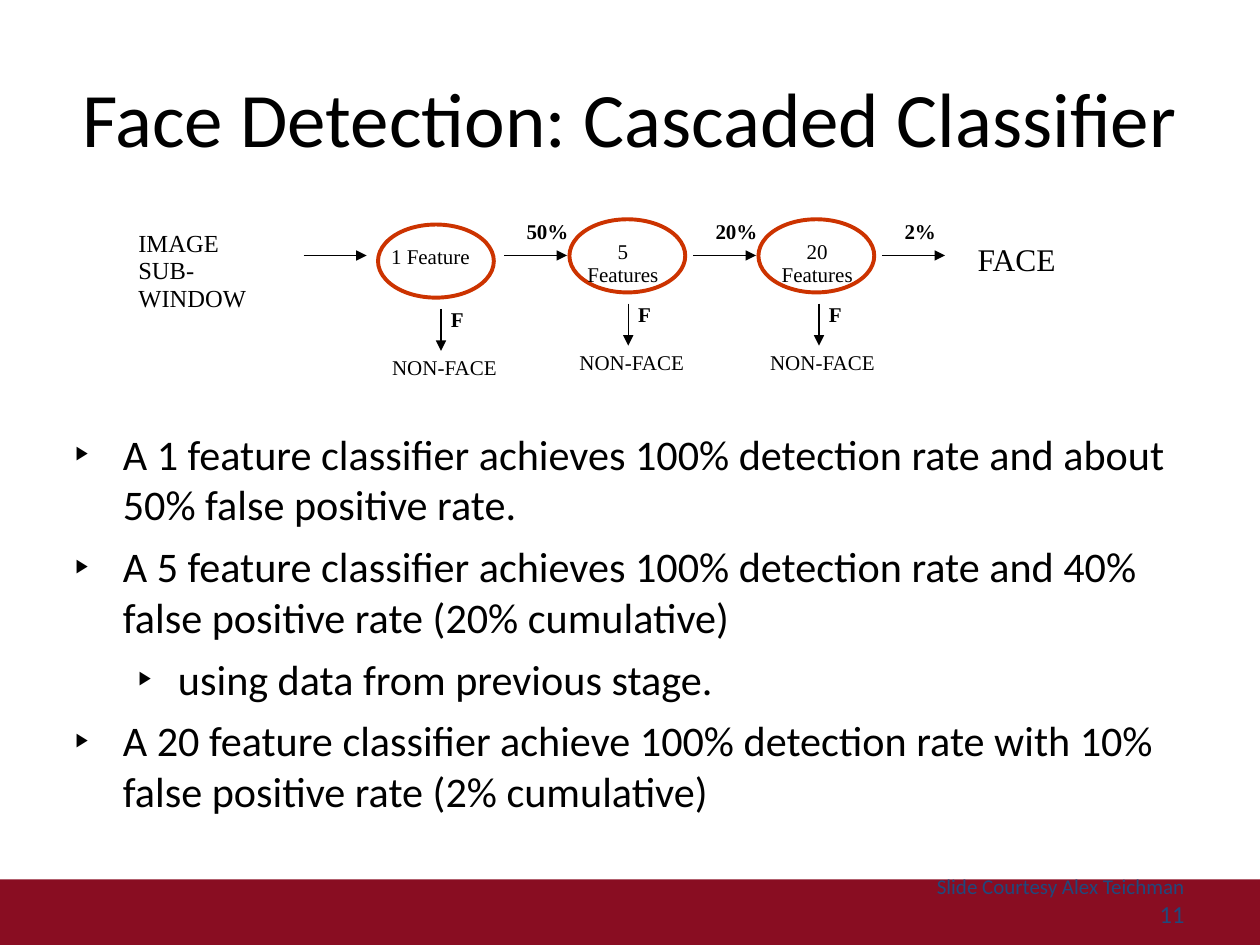
import pptx
import pptx.util
import pptx.dml.color
import pptx.enum.shapes
import pptx.enum.text
import pptx.oxml
import pptx.oxml.ns
import lxml.etree as etree

Pt = pptx.util.Pt
Shape = pptx.enum.shapes.MSO_SHAPE
Align = pptx.enum.text.PP_ALIGN
Anchor = pptx.enum.text.MSO_ANCHOR
qn = pptx.oxml.ns.qn


def color(code):
    return pptx.dml.color.RGBColor.from_string(code)


def write(frame, lines, size, font="Times New Roman", ink="000000",
          bold=False, **form):
    """Fill a text frame; form holds paragraph attributes."""
    frame.word_wrap = True
    frame.auto_size = pptx.enum.text.MSO_AUTO_SIZE.NONE
    frame.text = "\n".join(lines)
    for para in frame.paragraphs:
        for name, value in form.items():
            setattr(para, name, value)
        for run in para.runs:
            look = {"size": Pt(size), "name": font, "bold": bold}
            for name, value in look.items():
                setattr(run.font, name, value)
            run.font.color.rgb = color(ink)


deck = pptx.Presentation()
deck.slide_width, deck.slide_height = Pt(720), Pt(540)
slide = deck.slides.add_slide(deck.slide_layouts[1])
shapes = slide.shapes

# Footer band
band = shapes.add_shape(Shape.RECTANGLE, 0, Pt(502.5), Pt(720), Pt(37.5))
band.shadow.inherit = False
band.fill.solid()
band.fill.fore_color.rgb = color("890D22")
band.line.fill.background()

# Title and list
title, body = shapes.title, slide.placeholders[1]
for holder, box in ((title, (36, 21.6, 648, 90)), (body, (36, 241, 648, 243))):
    holder.left, holder.top, holder.width, holder.height = map(Pt, box)
write(title.text_frame, ["Face Detection: Cascaded Classifier"], 44, "Calibri",
      alignment=Align.CENTER)
title.text_frame.vertical_anchor = Anchor.MIDDLE

points = [
    (0, "A 1 feature classifier achieves 100% detection rate and about "
        "50% false positive rate."),
    (0, "A 5 feature classifier achieves 100% detection rate and 40% "
        "false positive rate (20% cumulative)"),
    (1, "using data from previous stage."),
    (0, "A 20 feature classifier achieve 100% detection rate with 10% "
        "false positive rate (2% cumulative)"),
]
write(body.text_frame, [text for _, text in points], 24.1, "Calibri",
      space_before=Pt(6.4))
body.text_frame.paragraphs[0].space_before = Pt(0)
for para, (level, _) in zip(body.text_frame.paragraphs, points):
    para.level = level
    left, hang = ((27, 27), (58.5, 22.5))[level]
    props = para._p.get_or_add_pPr()
    props.set("marL", str(Pt(left)))
    props.set("indent", str(-Pt(hang)))
    tint = etree.SubElement(props, qn("a:buClr"))
    etree.SubElement(tint, qn("a:srgbClr"), val="000000")
    etree.SubElement(props, qn("a:buSzPct"), val="45000")
    etree.SubElement(props, qn("a:buChar"), char="▶")

# Cascade: label, ellipse left, label centre, arrow x, drop
stages = [
    ("1 Feature", 216, 246, 252, 3),
    ("5 Features", 325.4, 356, 359, 0),
    ("20 Features", 433.4, 467, 468, 0),
]
gap, flow = 108, 146
arrows = [(173.5, flow, 209.5, flow)]
# Labels: lines, box, size, bold, alignment
labels = [
    (["IMAGE", "SUB-WINDOW"], (72, 128.2, 100, 58), 14, False, Align.LEFT),
    (["FACE"], (551.5, 135.4, 68, 29), 18, False, Align.LEFT),
]
for i, (name, left, mid, x, drop) in enumerate(stages):
    oval = shapes.add_shape(Shape.OVAL, Pt(left), Pt(125.3 + drop),
                            Pt(66.2), Pt(41.8))
    oval.shadow.inherit = False
    oval.fill.background()
    oval.line.color.rgb = color("CC3300")
    oval.line.width = Pt(2.25)
    start = 288 + gap * i
    arrows += [(start, flow, start + 36, flow),
               (x, 173.5 + drop, x, 197.5 + drop)]
    wide = 62 if i else 66
    rate = ("50%", "20%", "2%")[i]
    labels += [
        ([name], (mid - wide / 2, 134 + drop, wide, 36), 12, False, Align.CENTER),
        ([rate], (start + 5.8, 122.4, 42, 22), 12, True, Align.LEFT),
        (["F"], (x - 1.5, 170 + drop, 26, 22), 12, True, Align.LEFT),
        (["NON-FACE"], (x - 35, 197.3 + drop, 82, 22), 12, False, Align.LEFT),
    ]

for ends in arrows:
    arrow = shapes.add_connector(pptx.enum.shapes.MSO_CONNECTOR.STRAIGHT,
                                 *map(Pt, ends))
    arrow.line.color.rgb = color("000000")
    arrow.line.width = Pt(0.75)
    etree.SubElement(arrow.line._get_or_add_ln(), qn("a:tailEnd"), type="triangle")
    etree.SubElement(arrow._element.spPr, qn("a:effectLst"))

for lines, box, size, bold, align in labels:
    label = shapes.add_textbox(*map(Pt, box))
    write(label.text_frame, lines, size, bold=bold, alignment=align,
          line_spacing=0.93)

# Credit and page number
credit = shapes.add_textbox(Pt(450), Pt(500.4), Pt(234), Pt(28.8))
write(credit.text_frame, ["Slide Courtesy Alex Teichman", "11"], 12, "Calibri",
      "1F497D", alignment=Align.RIGHT)
credit.text_frame.vertical_anchor = Anchor.MIDDLE
credit.text_frame.paragraphs[1].runs[0].font.size = Pt(14)

deck.save("out.pptx")
